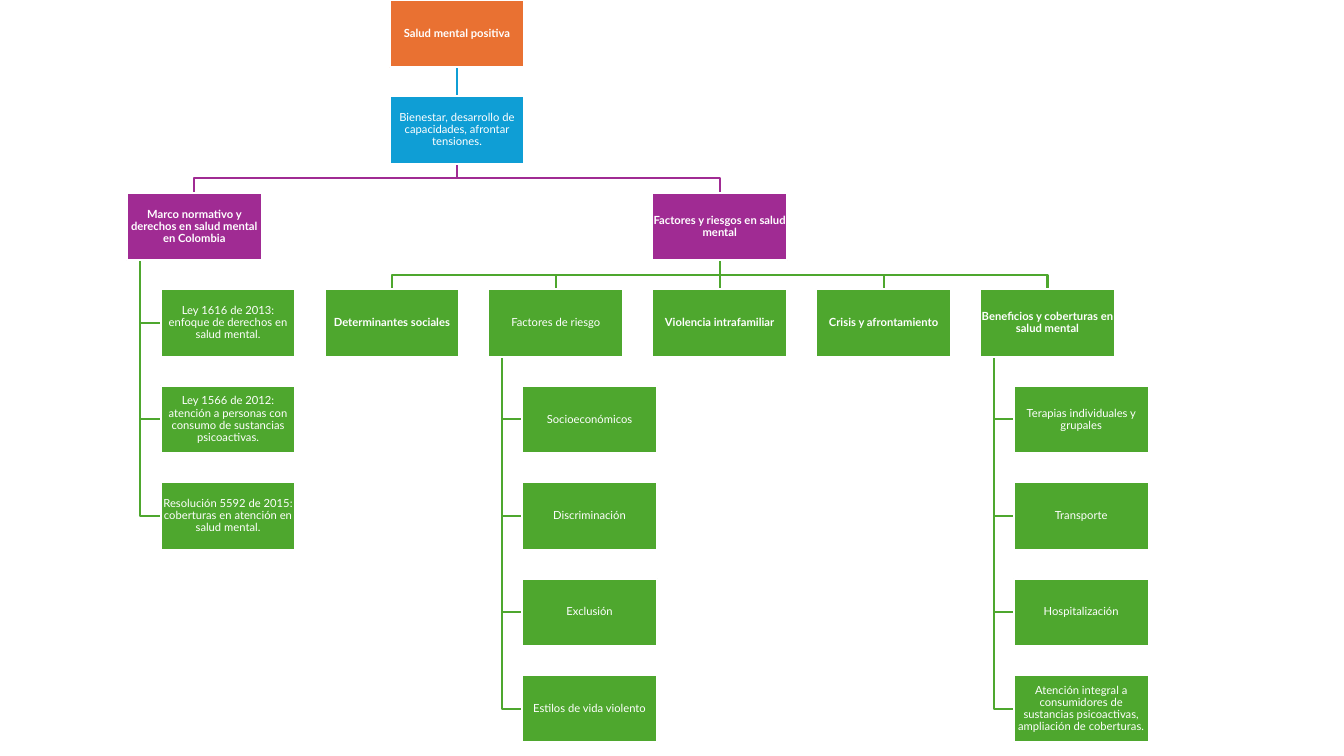
from dataclasses import dataclass, field

from pptx import Presentation
from pptx import util as u
from pptx.dml.color import RGBColor
from pptx.enum import shapes, text
from pptx.oxml import parse_xml
from pptx.oxml.ns import nsdecls

ORANGE, BLUE, PURPLE, GREEN, WHITE = "E97132", "0F9ED5", "A02B93", "4EA72E", "FFFFFF"
BOX_WIDTH, BOX_HEIGHT = 3.4, 1.7
ROW_STEP, COLUMN_STEP = 2.43, 4.13
INDENT, TRUNK = 0.85, 0.34


@dataclass
class Topic:
    """A box of the map with its place in centimetres."""
    label: str
    color: str
    bold: bool = False
    children: list = field(default_factory=list)
    hanging: bool = False
    left: float = 0
    top: float = 0
    shape: object = None

    @property
    def middle(self):
        """Return the horizontal centre of the box."""
        return self.left + BOX_WIDTH / 2


def hanging_topic(label, color, bold, items):
    """Return a topic whose items hang in a column below it."""
    return Topic(label, color, bold, [Topic(item, GREEN) for item in items], True)


def build_topics():
    """Return the root, the definition and the two branches."""
    laws = hanging_topic("Marco normativo y derechos en salud mental en Colombia", PURPLE, True, [
        "Ley 1616 de 2013: enfoque de derechos en salud mental.",
        "Ley 1566 de 2012: atención a personas con consumo de sustancias psicoactivas.",
        "Resolución 5592 de 2015: coberturas en atención en salud mental.",
    ])
    factors = Topic("Factores y riesgos en salud mental", PURPLE, True, [
        Topic("Determinantes sociales", GREEN, True),
        hanging_topic("Factores de riesgo", GREEN, False, [
            "Socioeconómicos", "Discriminación", "Exclusión", "Estilos de vida violento"]),
        Topic("Violencia intrafamiliar", GREEN, True),
        Topic("Crisis y afrontamiento", GREEN, True),
        hanging_topic("Beneficios y coberturas en salud mental", GREEN, True, [
            "Terapias individuales y grupales", "Transporte", "Hospitalización",
            "Atención integral a consumidores de sustancias psicoactivas, ampliación de coberturas."]),
    ])
    definition = Topic("Bienestar, desarrollo de capacidades, afrontar tensiones.", BLUE,
                       children=[laws, factors])
    root = Topic("Salud mental positiva", ORANGE, True, [definition])
    return root, definition, laws, factors


def place_hanging(topic, left, top):
    """Place a topic and the column of items below it."""
    topic.left, topic.top = left, top
    for row, child in enumerate(topic.children, 1):
        child.left, child.top = left + INDENT, top + row * ROW_STEP


def place_spread(topic, left, top):
    """Place a row of subtopics and centre their parent above it."""
    for column, child in enumerate(topic.children):
        place_hanging(child, left + column * COLUMN_STEP, top + ROW_STEP)
    topic.left, topic.top = (topic.children[0].left + topic.children[-1].left) / 2, top


def place_map(root, definition, laws, factors, left, top):
    """Place the whole map from its upper left corner."""
    branch_top = top + 2 * ROW_STEP
    place_hanging(laws, left, branch_top)
    place_spread(factors, left + INDENT + COLUMN_STEP, branch_top)
    root.left = definition.left = (laws.left + factors.left) / 2
    root.top, definition.top = top, top + ROW_STEP


def walk(topic):
    """Yield a topic and all topics under it."""
    yield topic
    for child in topic.children:
        yield from walk(child)


def rgb(color):
    """Return the colour of a hex string."""
    return RGBColor.from_string(color)


def draw_bent_line(slide, points, color):
    """Draw an open line through points given in centimetres."""
    start, *others = [(u.Cm(x), u.Cm(y)) for x, y in points]
    builder = slide.shapes.build_freeform(*start)
    builder.add_line_segments(others, close=False)
    shape = builder.convert_to_shape()
    shape.shadow.inherit = False
    shape.fill.background()
    shape.line.color.rgb = rgb(color)
    shape.line.width = u.Pt(1.5)


def draw_straight_line(slide, parent, child):
    """Draw a vertical connector from a parent to a child."""
    connector = slide.shapes.add_connector(
        shapes.MSO_CONNECTOR.STRAIGHT, u.Cm(parent.middle), u.Cm(parent.top + BOX_HEIGHT),
        u.Cm(child.middle), u.Cm(child.top))
    connector.line.color.rgb = rgb(child.color)
    connector.line.width = u.Pt(1.5)
    connector._element.spPr.append(parse_xml(f"<a:effectLst {nsdecls('a')}/>"))
    return connector


def draw_links(slide, parent):
    """Draw the lines to the children and return the straight ones."""
    straight = []
    bottom = parent.top + BOX_HEIGHT
    for child in parent.children:
        if parent.hanging:
            trunk, side = parent.left + TRUNK, child.top + BOX_HEIGHT / 2
            draw_bent_line(slide, [(trunk, bottom), (trunk, side), (child.left, side)], child.color)
        elif abs(parent.middle - child.middle) < 0.01:
            straight.append((draw_straight_line(slide, parent, child), parent, child))
        else:
            bend = (bottom + child.top) / 2
            draw_bent_line(slide, [(parent.middle, bottom), (parent.middle, bend),
                                   (child.middle, bend), (child.middle, child.top)], child.color)
    return straight


def draw_box(slide, topic):
    """Draw the filled box of a topic with its label."""
    shape = slide.shapes.add_shape(
        shapes.MSO_SHAPE.RECTANGLE, u.Cm(topic.left), u.Cm(topic.top),
        u.Cm(BOX_WIDTH), u.Cm(BOX_HEIGHT))
    shape.shadow.inherit = False
    shape.fill.solid()
    shape.fill.fore_color.rgb = rgb(topic.color)
    shape.line.color.rgb = rgb(WHITE)
    shape.line.width = u.Pt(1.5)
    frame = shape.text_frame
    frame.word_wrap = True
    frame.vertical_anchor = text.MSO_ANCHOR.MIDDLE
    frame.margin_left = frame.margin_right = frame.margin_top = frame.margin_bottom = u.Cm(0.01)
    paragraph = frame.paragraphs[0]
    paragraph.alignment = text.PP_ALIGN.CENTER
    paragraph.line_spacing = 0.9
    paragraph.space_after = u.Pt(2.8)
    run = paragraph.add_run()
    run.text = topic.label
    run.font.name = "Lato"
    run.font.size = u.Pt(8)
    run.font.bold = topic.bold
    run.font.color.rgb = rgb(WHITE)
    topic.shape = shape


def draw_map(slide, left, top):
    """Draw the concept map with its lines behind its boxes."""
    root, *branches = build_topics()
    place_map(root, *branches, left, top)
    topics = list(walk(root))
    straight = [link for topic in topics for link in draw_links(slide, topic)]
    for topic in topics:
        draw_box(slide, topic)
    for connector, parent, child in straight:
        connector.begin_connect(parent.shape, 2)
        connector.end_connect(child.shape, 0)


def main():
    """Build the presentation and save it."""
    presentation = Presentation()
    presentation.slide_width, presentation.slide_height = u.Cm(33.87), u.Cm(19.05)
    slide = presentation.slides.add_slide(presentation.slide_layouts[6])
    draw_map(slide, 3.2, 0)
    presentation.save("out.pptx")


if __name__ == "__main__":
    main()
